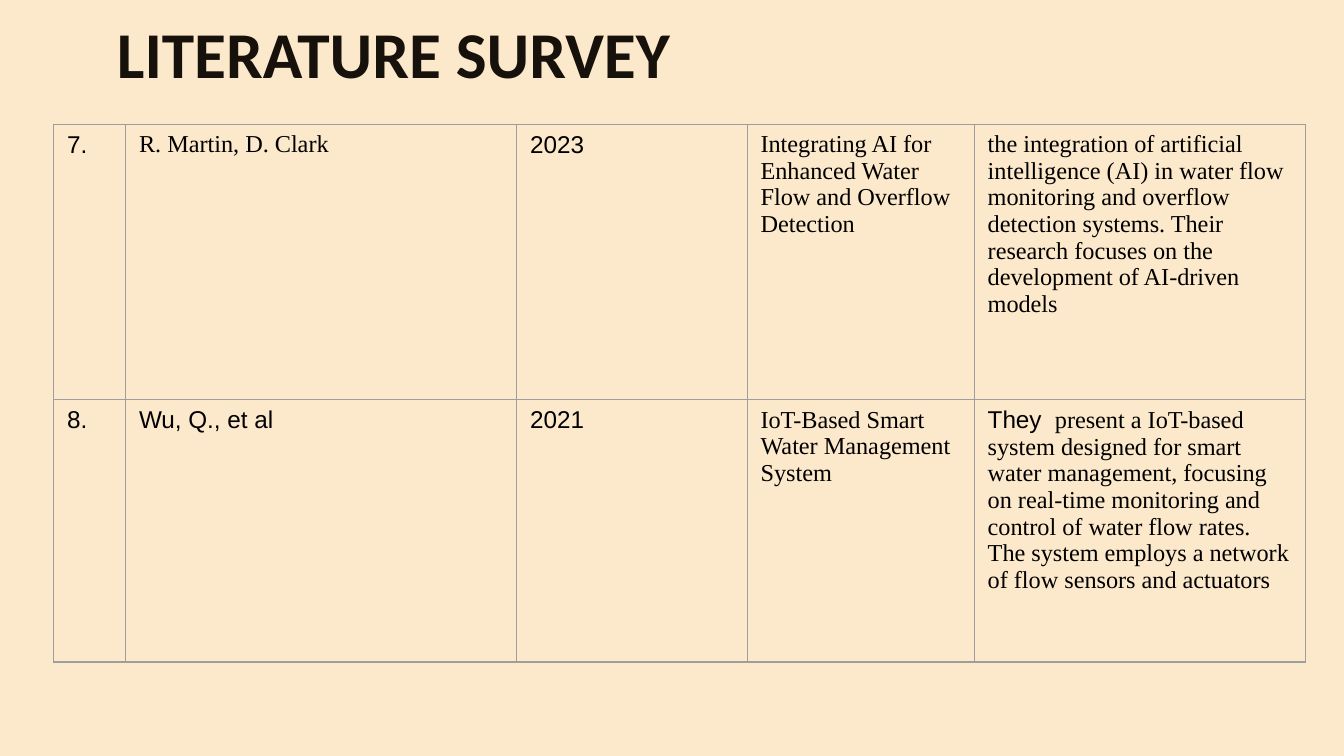
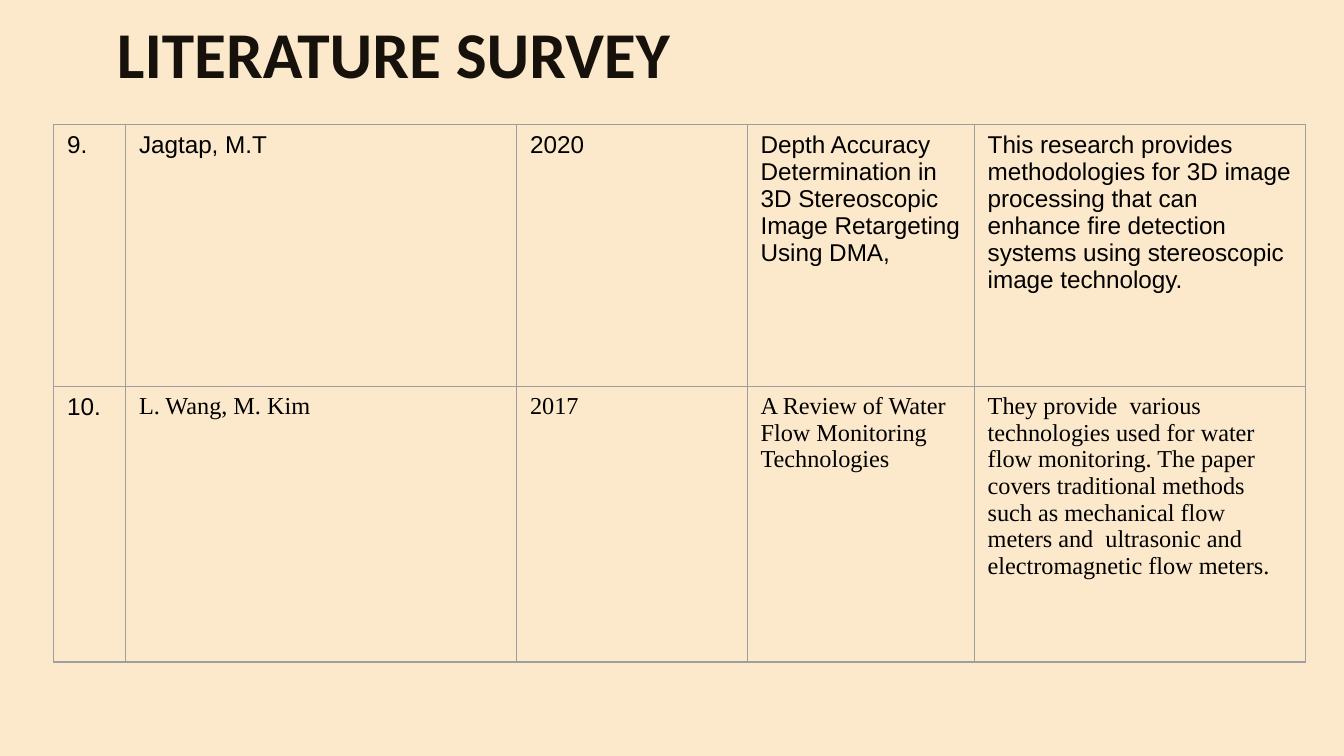
from dataclasses import dataclass

from lxml.etree import SubElement
from pptx import Presentation
from pptx.dml.color import RGBColor
from pptx.enum.text import MSO_ANCHOR as Anchor, MSO_AUTO_SIZE as AutoSize, PP_ALIGN as Align
from pptx.oxml.ns import qn
from pptx.util import Inches, Pt

# Shared look
COLOURS = {"background": "FCE8CA", "title": "17110B", "text": "000000", "border": "9E9E9E"}
SANS, SERIF, HEADING = "Arial", "Times New Roman", "Calibri"
TITLE = "LITERATURE SURVEY"

# A 16:9 slide; lengths are in percent of its width or height
SLIDE_WIDTH = Inches(10)
SLIDE_HEIGHT = SLIDE_WIDTH * 9 // 16
TITLE_BOX = (7.7, 2, 49.6, 20)
TABLE_LEFT, TABLE_TOP = 4, 16.45
COLUMN_WIDTHS = (5.35, 29.1, 17.15, 16.9, 24.65)
TALL_ROW, SHORT_ROW = 36.45, 34.67


@dataclass(frozen=True)
class Span:
    text: str
    font: str = SERIF


@dataclass(frozen=True)
class Paper:
    """One table row: each cell is a tuple of spans."""
    height: float
    cells: tuple[tuple[Span, ...], ...]


def sans(text: str) -> tuple[Span, ...]:
    return (Span(text, SANS),)


def serif(text: str) -> tuple[Span, ...]:
    return (Span(text),)


SURVEY = (
    (
        Paper(TALL_ROW, (
            sans("7."), serif("R. Martin, D. Clark"), sans("2023"),
            serif("Integrating AI for Enhanced Water Flow and Overflow Detection"),
            serif("the integration of artificial intelligence (AI) in water flow monitoring "
                  "and overflow detection systems. Their research focuses on the "
                  "development of AI-driven models"),
        )),
        Paper(SHORT_ROW, (
            sans("8."), sans("Wu, Q., et al"), sans("2021"),
            serif("IoT-Based Smart Water Management System"),
            sans("They  ") + serif(
                "present a IoT-based system designed for smart water management, focusing on "
                "real-time monitoring and control of water flow rates. The system employs "
                "a network of flow sensors and actuators"),
        )),
    ),
    (
        Paper(SHORT_ROW, (
            sans("9."), sans("Jagtap, M.T"), sans("2020"),
            sans("Depth Accuracy Determination in 3D Stereoscopic Image Retargeting Using DMA,"),
            sans("This research provides methodologies for 3D image processing that can "
                 "enhance fire detection systems using stereoscopic image technology."),
        )),
        Paper(TALL_ROW, (
            sans("10."), serif("L. Wang, M. Kim"), serif("2017"),
            serif("A Review of Water Flow Monitoring Technologies"),
            serif("They provide  various technologies used for water flow monitoring. The "
                  "paper covers traditional methods such as mechanical flow meters and  "
                  "ultrasonic and electromagnetic flow meters."),
        )),
    ),
)


def across(percent: float) -> int:
    return round(SLIDE_WIDTH * percent / 100)


def down(percent: float) -> int:
    return round(SLIDE_HEIGHT * percent / 100)


def add_text(paragraph, text: str, *, font: str, size: float = 13,
             colour: str = "text", bold: bool = False) -> None:
    run = paragraph.add_run()
    run.text = text
    run.font.name, run.font.size, run.font.bold = font, Pt(size), bold
    run.font.color.rgb = RGBColor.from_string(COLOURS[colour])


def set_borders(cell) -> None:
    """Draw the four cell borders; they must come before the cell's fill."""
    properties = cell._tc.get_or_add_tcPr()
    for side in ("lnL", "lnR", "lnT", "lnB"):
        line = SubElement(properties, qn(f"a:{side}"), w=str(Pt(0.75)))
        fill = SubElement(line, qn("a:solidFill"))
        SubElement(fill, qn("a:srgbClr"), val=COLOURS["border"])


def set_title(slide) -> None:
    title = slide.shapes.title
    left, top, width, height = TITLE_BOX
    title.left, title.top = across(left), down(top)
    title.width, title.height = across(width), down(height)
    frame = title.text_frame
    frame.margin_left = frame.margin_right = Inches(0.1)
    frame.margin_top = frame.margin_bottom = Inches(0.1)
    frame.vertical_anchor, frame.word_wrap = Anchor.TOP, True
    frame.auto_size = AutoSize.SHAPE_TO_FIT_TEXT
    paragraph = frame.paragraphs[0]
    paragraph.alignment, paragraph.line_spacing = Align.LEFT, 0.8
    add_text(paragraph, TITLE, font=HEADING, size=35, colour="title", bold=True)


def add_survey_table(slide, papers: tuple[Paper, ...]) -> None:
    table = slide.shapes.add_table(
        len(papers), len(COLUMN_WIDTHS), across(TABLE_LEFT), down(TABLE_TOP),
        across(sum(COLUMN_WIDTHS)), down(sum(paper.height for paper in papers))).table
    table.first_row = table.horz_banding = False
    for column, width in zip(table.columns, COLUMN_WIDTHS):
        column.width = across(width)
    for row, paper in zip(table.rows, papers):
        row.height = down(paper.height)
        for cell, spans in zip(row.cells, paper.cells):
            set_borders(cell)
            cell.fill.background()
            for span in spans:
                add_text(cell.text_frame.paragraphs[0], span.text, font=span.font)


def main() -> None:
    presentation = Presentation()
    presentation.slide_width, presentation.slide_height = SLIDE_WIDTH, SLIDE_HEIGHT
    # Background on the master, so every slide shares it
    background = presentation.slide_master.background.fill
    background.solid()
    background.fore_color.rgb = RGBColor.from_string(COLOURS["background"])
    title_only = presentation.slide_layouts.get_by_name("Title Only")
    for papers in SURVEY:
        slide = presentation.slides.add_slide(title_only)
        set_title(slide)
        add_survey_table(slide, papers)
    presentation.save("out.pptx")


if __name__ == "__main__":
    main()
